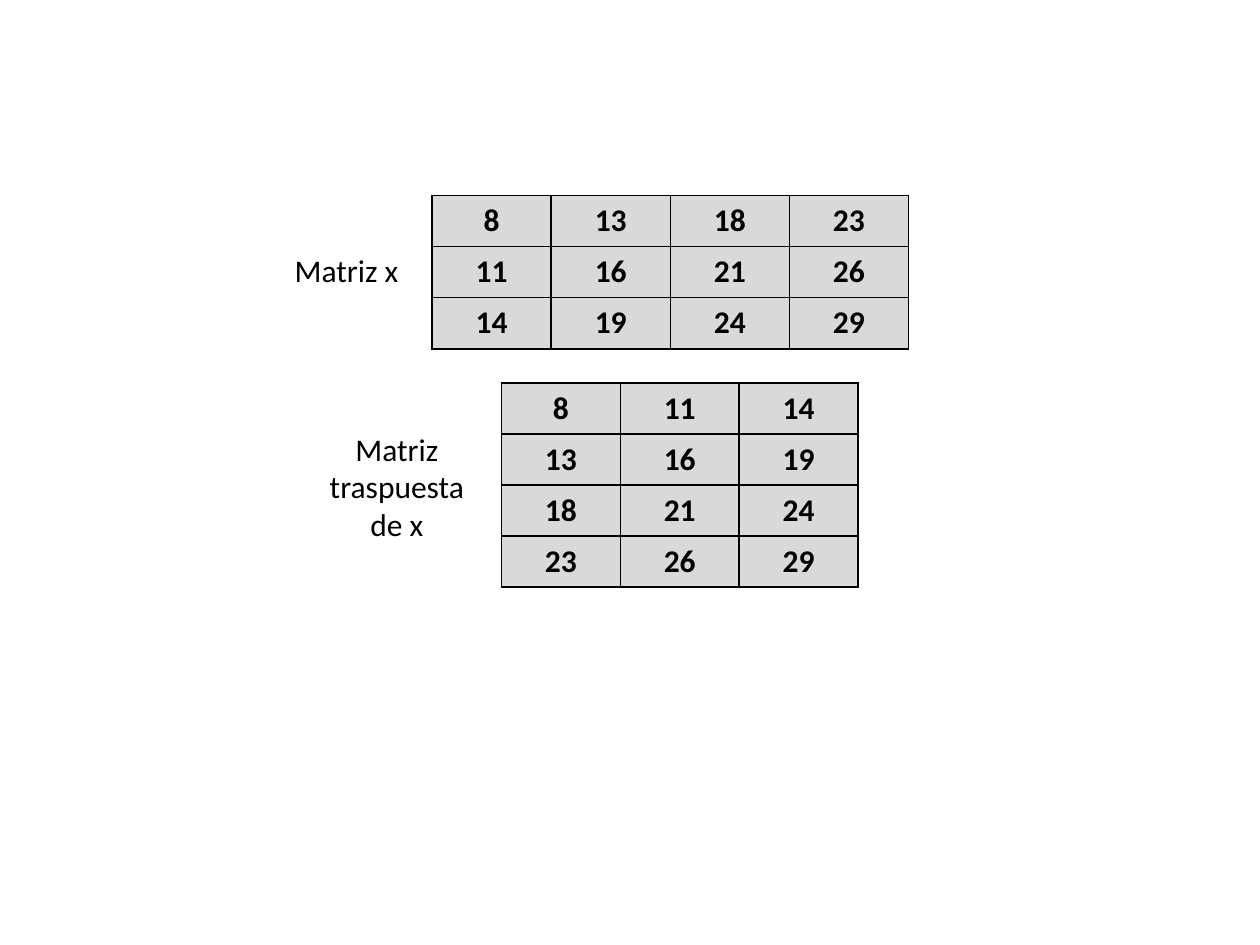
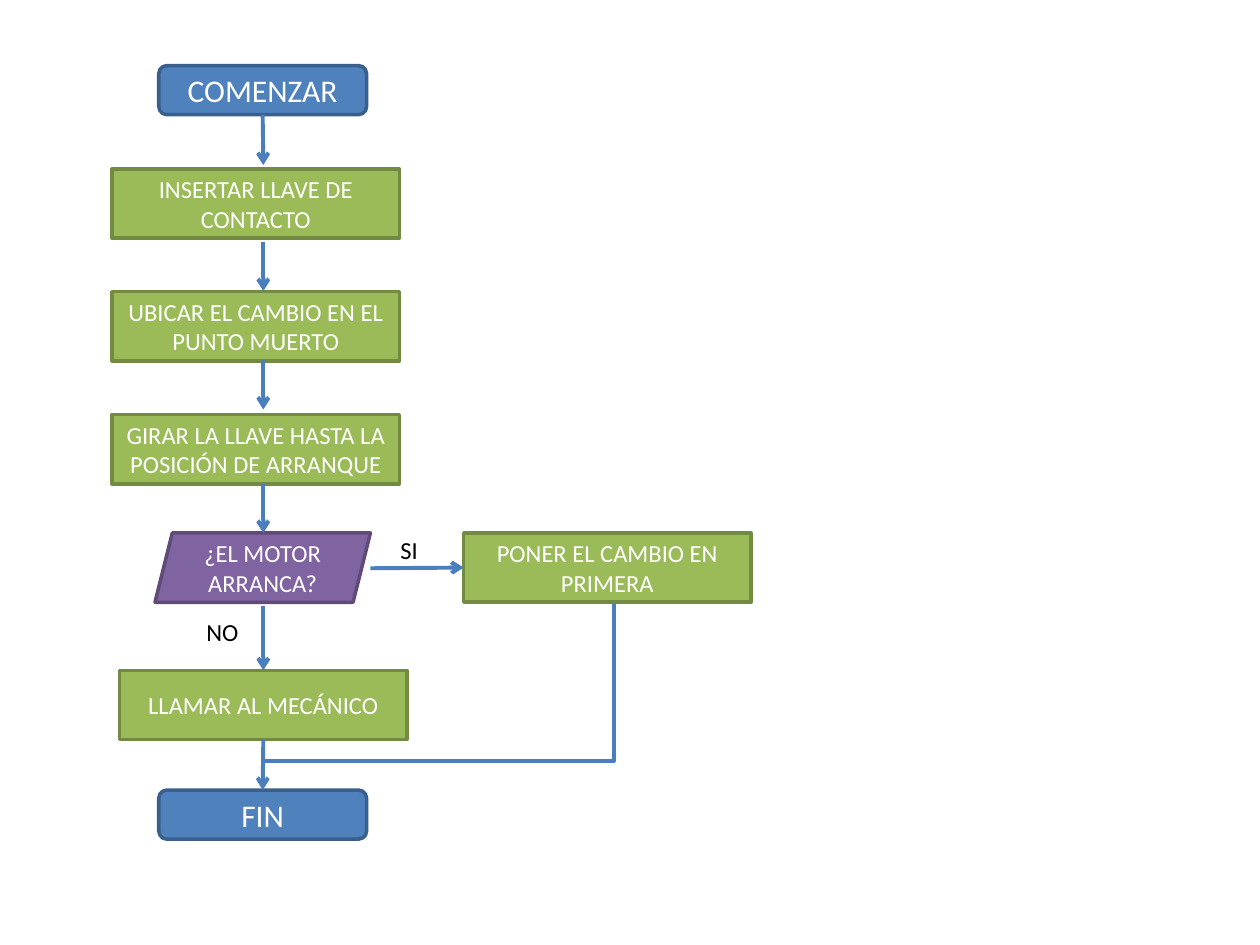
from pptx import Presentation
from pptx.dml.color import RGBColor
from pptx.enum.shapes import MSO_CONNECTOR as Link, MSO_SHAPE as Shape
from pptx.enum.text import MSO_ANCHOR as Anchor, MSO_AUTO_SIZE as AutoSize, PP_ALIGN as Align
from pptx.oxml.ns import qn
from pptx.util import Inches, Pt
from lxml.etree import SubElement

BLACK = RGBColor(0x00, 0x00, 0x00)
WHITE = RGBColor(0xFF, 0xFF, 0xFF)
CELL_GRAY = RGBColor(0xD9, 0xD9, 0xD9)
ARROW_BLUE = RGBColor(0x4B, 0x7E, 0xBC)
BLUE, BLUE_EDGE = RGBColor(0x4F, 0x81, 0xBD), RGBColor(0x3A, 0x5F, 0x8C)
GREEN, GREEN_EDGE = RGBColor(0x9B, 0xBB, 0x59), RGBColor(0x73, 0x8A, 0x42)
PURPLE, PURPLE_EDGE = RGBColor(0x80, 0x64, 0xA2), RGBColor(0x5F, 0x4A, 0x78)

BASE_FONT = {"name": "Calibri", "bold": False}
LARGE = {**BASE_FONT, "size": Pt(18)}
SMALL = {**BASE_FONT, "size": Pt(14)}
CELL_FONT = {**LARGE, "bold": True}

# Each node kind: preset, fill, edge, width, height, font
TERMINAL = (Shape.ROUNDED_RECTANGLE, BLUE, BLUE_EDGE, 1.65, 0.39, LARGE)
ACTION = (Shape.RECTANGLE, GREEN, GREEN_EDGE, 2.28, 0.55, SMALL)
DECISION = (Shape.PARALLELOGRAM, PURPLE, PURPLE_EDGE, 1.71, 0.55, SMALL)

TOP, LEFT, BOTTOM = 0, 1, 2
AXIS = 2.09

MATRIX = [(8, 13, 18, 23), (11, 16, 21, 26), (14, 19, 24, 29)]


def write(frame, text, font, color, align):
    para = frame.paragraphs[0]
    para.alignment = align
    span = para.add_run()
    span.text = text
    for name, value in font.items():
        setattr(span.font, name, value)
    span.font.color.rgb = color


def add_label(page, text, left, top, width, height, font, align=Align.LEFT, wrap=True):
    box = page.shapes.add_textbox(*map(Inches, (left, top, width, height)))
    box.text_frame.word_wrap = wrap
    box.text_frame.auto_size = AutoSize.SHAPE_TO_FIT_TEXT
    write(box.text_frame, text, font, BLACK, align)


def add_borders(cell):
    """Draw a thin black line on all four sides of the cell."""
    properties = cell._tc.get_or_add_tcPr()
    for side in ("a:lnL", "a:lnR", "a:lnT", "a:lnB"):
        line = SubElement(properties, qn(side), w=str(Pt(1)))
        fill = SubElement(line, qn("a:solidFill"))
        SubElement(fill, qn("a:srgbClr"), val=str(BLACK))


def add_matrix(page, rows, left, top, width, height):
    frame = page.shapes.add_table(len(rows), len(rows[0]),
                                  *map(Inches, (left, top, width, height)))
    table = frame.table
    table.first_row = table.horz_banding = False
    for row_index, row in enumerate(rows):
        for column_index, value in enumerate(row):
            cell = table.cell(row_index, column_index)
            add_borders(cell)
            cell.fill.solid()
            cell.fill.fore_color.rgb = CELL_GRAY
            write(cell.text_frame, str(value), CELL_FONT, BLACK, Align.CENTER)


def add_node(page, kind, text, left, top):
    preset, fill, edge, width, height, font = kind
    node = page.shapes.add_shape(preset, *map(Inches, (left, top, width, height)))
    node.shadow.inherit = False
    node.fill.solid()
    node.fill.fore_color.rgb = fill
    node.line.color.rgb = edge
    node.line.width = Pt(2)
    node.text_frame.word_wrap = True
    node.text_frame.vertical_anchor = Anchor.MIDDLE
    write(node.text_frame, text, font, WHITE, Align.CENTER)
    return node


def add_link(page, kind, start, end):
    link = page.shapes.add_connector(kind, *map(Inches, (*start, *end)))
    link.line.color.rgb = ARROW_BLUE
    link.line.width = Pt(2.25)
    SubElement(link._element.spPr, qn("a:effectLst"))
    return link


def add_arrow(page, start, end, source=None, target=None):
    """Add a straight arrow; source and target are (node, side) pairs to join."""
    arrow = add_link(page, Link.STRAIGHT, start, end)
    SubElement(arrow.line._get_or_add_ln(), qn("a:tailEnd"), type="arrow")
    if source:
        arrow.begin_connect(*source)
    if target:
        arrow.end_connect(*target)


def add_return_line(page, start, end, bend):
    """Add an elbow line that turns at the given share of its width."""
    line = add_link(page, Link.ELBOW, start, end)
    guides = line._element.spPr.find(qn("a:prstGeom")).get_or_add_avLst()
    SubElement(guides, qn("a:gd"), name="adj1", fmla=f"val {round(bend * 100000)}")


def build_matrices(page):
    add_matrix(page, MATRIX, 3.43, 1.55, 3.78, 1.22)
    add_label(page, "Matriz x", 2.24, 1.94, 1.26, 0.4, LARGE)
    add_matrix(page, list(zip(*MATRIX)), 3.98, 3.04, 2.83, 1.62)
    add_label(page, "Matriz traspuesta de x", 2.4, 3.36, 1.5, 1.01, LARGE, Align.CENTER)


def build_flowchart(page):
    start = add_node(page, TERMINAL, "COMENZAR", 1.26, 0.52)
    finish = add_node(page, TERMINAL, "FIN", 1.26, 6.27)
    add_node(page, DECISION, "¿EL MOTOR ARRANCA?", 1.23, 4.23)
    steps = ("INSERTAR LLAVE DE CONTACTO",
             "UBICAR EL CAMBIO EN EL PUNTO MUERTO",
             "GIRAR LA LLAVE HASTA LA POSICIÓN DE ARRANQUE")
    for index, step in enumerate(steps):
        add_node(page, ACTION, step, 0.89, 1.34 + 0.975 * index)
    mechanic = add_node(page, ACTION, "LLAMAR AL MECÁNICO", 0.95, 5.32)

    add_return_line(page, (AXIS, 6.04), (5.08, 4.54), 0.93)
    first_gear = add_node(page, ACTION, "PONER EL CAMBIO EN PRIMERA", 3.68, 4.23)

    down_arrows = (
        (0.92, 1.31, (start, BOTTOM), None),
        (1.92, 2.31, None, None),
        (2.86, 3.25, None, None),
        (3.84, 4.23, None, None),
        (4.81, 5.32, None, (mechanic, TOP)),
        (5.88, 6.27, (mechanic, BOTTOM), (finish, TOP)),
    )
    for top, bottom, source, target in down_arrows:
        add_arrow(page, (AXIS, top), (AXIS, bottom), source, target)
    add_arrow(page, (2.94, 4.51), (3.68, 4.51), target=(first_gear, LEFT))

    add_label(page, "SI", 3.08, 4.2, 0.34, 0.34, SMALL, wrap=False)
    add_label(page, "NO", 1.54, 4.85, 0.46, 0.34, SMALL, wrap=False)


def main():
    deck = Presentation()
    deck.slide_width, deck.slide_height = Inches(10), Inches(7.5)
    blank = deck.slide_layouts[6]
    for build in (build_matrices, build_flowchart):
        build(deck.slides.add_slide(blank))
    deck.save("out.pptx")


if __name__ == "__main__":
    main()
